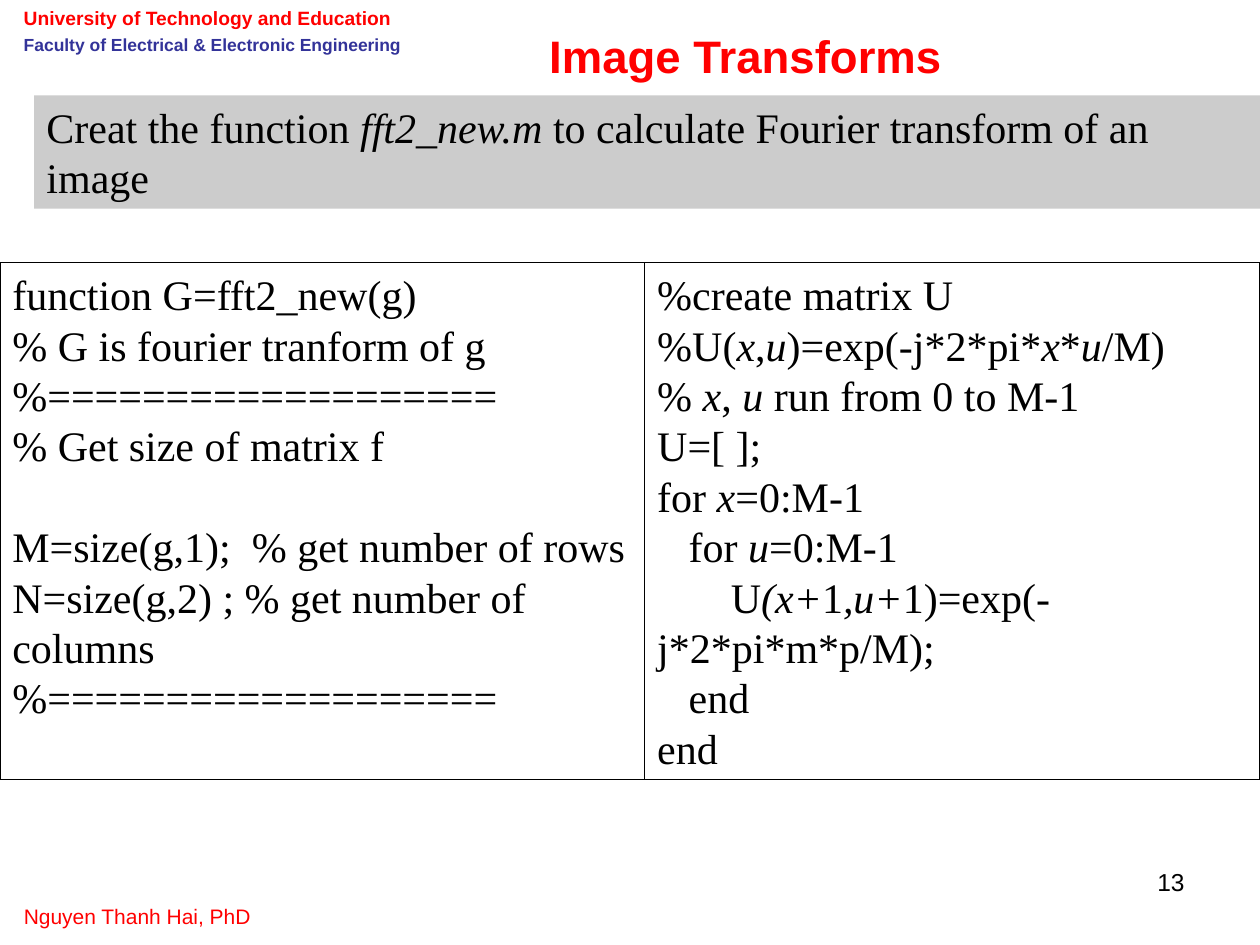
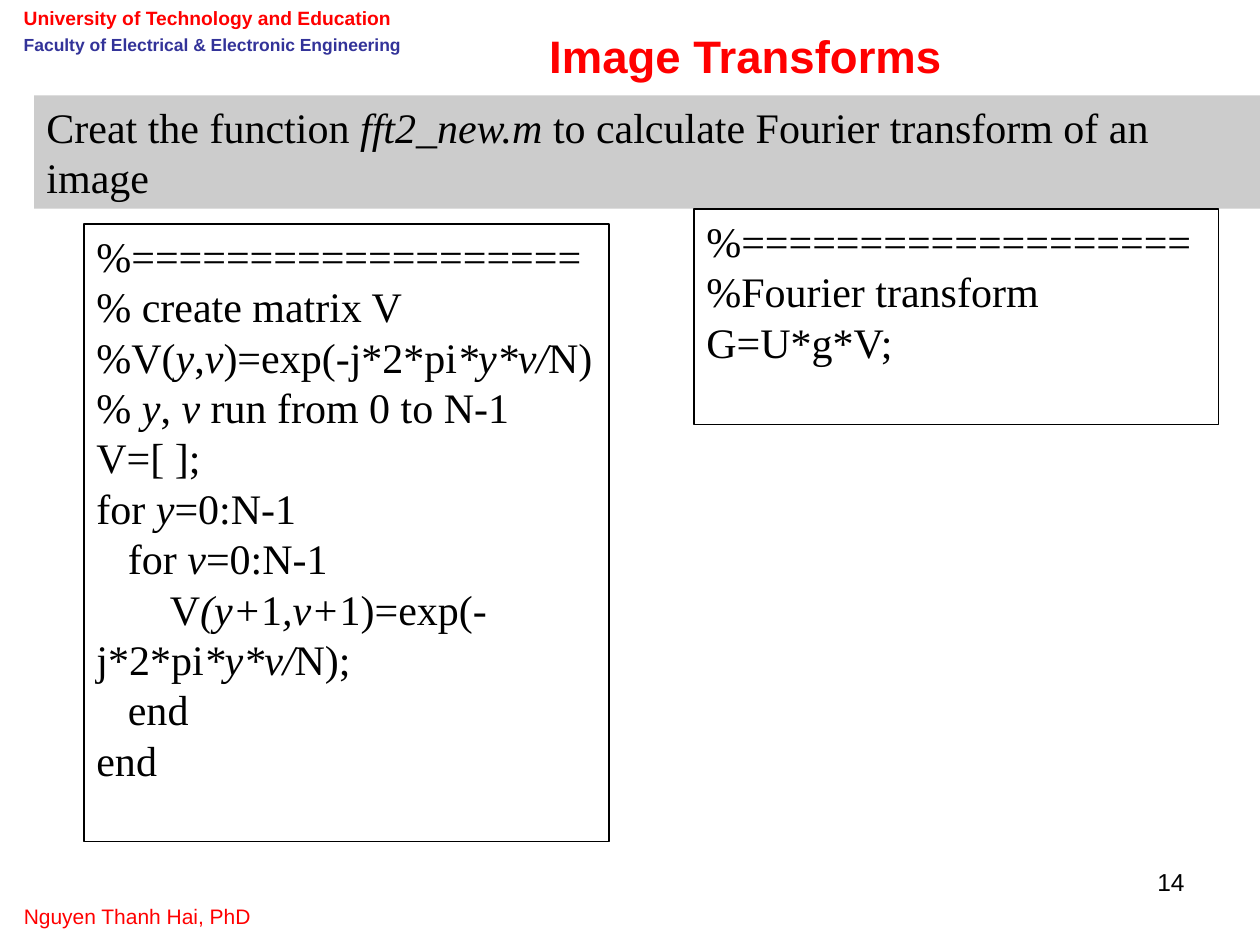
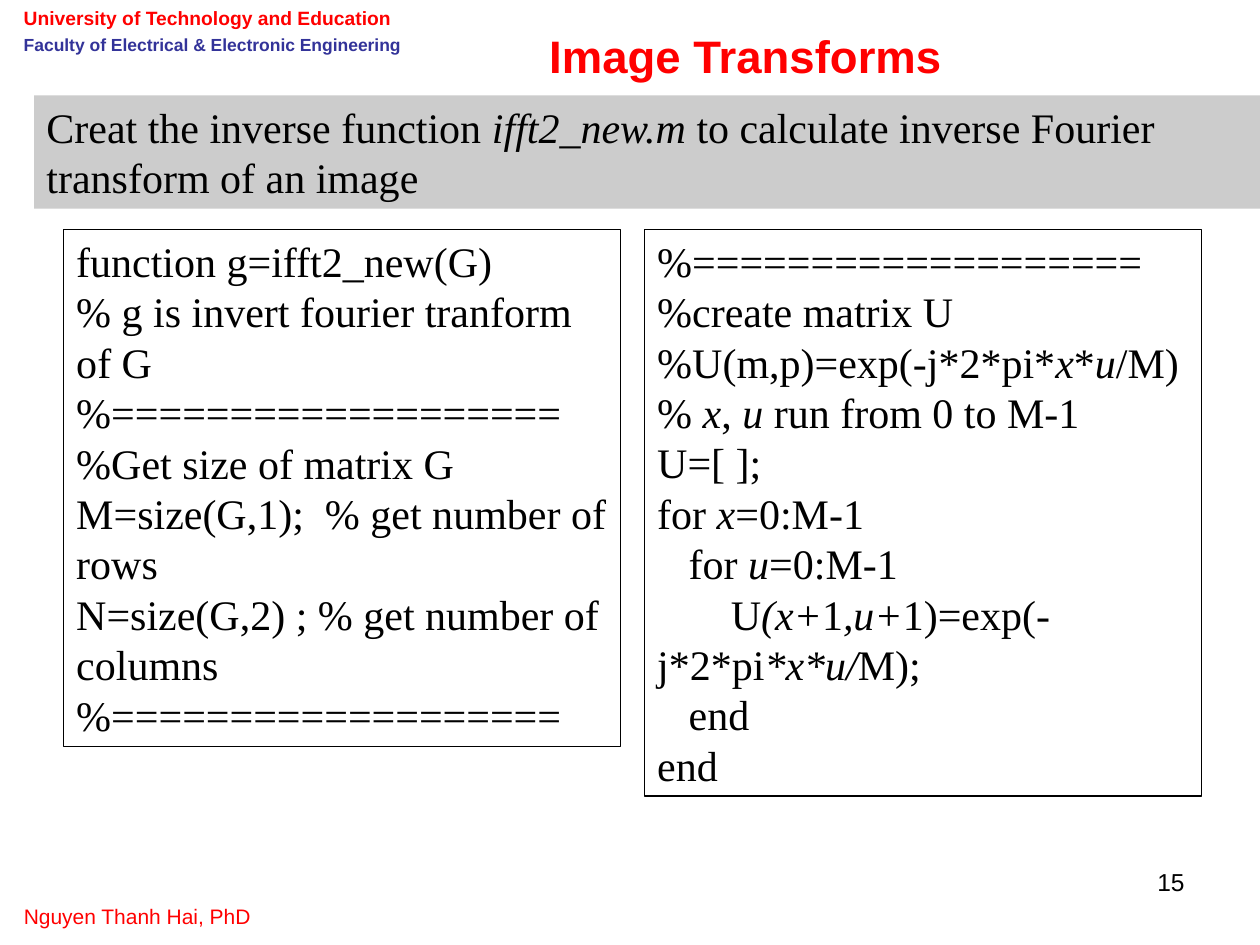
from dataclasses import dataclass

from pptx import Presentation
from pptx.dml.color import RGBColor
from pptx.enum.shapes import MSO_SHAPE
from pptx.enum.text import MSO_ANCHOR, PP_ALIGN
from pptx.util import Pt

RECT = MSO_SHAPE.RECTANGLE
TOP = MSO_ANCHOR.TOP
LEFT, MID, RIGHT = PP_ALIGN.LEFT, PP_ALIGN.CENTER, PP_ALIGN.RIGHT


@dataclass(frozen=True)
class Theme:
    """Colours, fonts and type sizes of the deck."""
    red: str = "FF0000"
    blue: str = "333399"
    black: str = "000000"
    gray: str = "CCCCCC"
    sans: str = "Arial"
    serif: str = "Times New Roman"
    title: float = 26
    code: float = 24
    pitch: float = 28.8
    page: float = 14
    foot: float = 12
    school: float = 11
    unit: float = 10


T = Theme()
RULE = "%" + "=" * 19


def write(para, text, size, color=T.black, font=T.sans, bold=False,
          align=LEFT, before=0, pitch=None, indent=0):
    """Fill a paragraph; bars in the text switch italics on and off."""
    para.alignment = align
    para.space_before = Pt(before)
    if pitch:
        para.line_spacing = pitch
    if indent:
        props = para._p.get_or_add_pPr()
        props.set("marL", "0")
        props.set("indent", str(Pt(indent)))
    for turn, part in enumerate(text.split("|")):
        if part:
            run = para.add_run()
            run.text = part
            face = run.font
            face.name, face.size = font, Pt(size)
            face.bold, face.italic = bold, turn % 2 == 1
            face.color.rgb = RGBColor.from_string(color)


def label(slide, box, text, size, **form):
    """Add a wrapped text box and return its frame."""
    frame = slide.shapes.add_textbox(*map(Pt, box)).text_frame
    frame.word_wrap = True
    write(frame.paragraphs[0], text, size, **form)
    return frame


def panel(slide, box, lines, fill=None, edge=None):
    """Add a rectangle of serif lines, each a text or a text with its format."""
    shape = slide.shapes.add_shape(RECT, *map(Pt, box))
    shape.shadow.inherit = False
    if fill:
        shape.fill.solid()
        shape.fill.fore_color.rgb = RGBColor.from_string(fill)
    else:
        shape.fill.background()
    if edge:
        shape.line.color.rgb = RGBColor.from_string(edge)
        shape.line.width = Pt(0.75)
    else:
        shape.line.fill.background()
    frame = shape.text_frame
    frame.word_wrap = True
    frame.vertical_anchor = TOP
    for row, line in enumerate(lines):
        text, form = (line, {}) if isinstance(line, str) else line
        para = frame.add_paragraph() if row else frame.paragraphs[0]
        write(para, text, T.code, font=T.serif, pitch=Pt(T.pitch), **form)


def code(slide, box, lines):
    """Add an outlined box of code."""
    panel(slide, box, lines, edge=T.black)


def loops(name, row, col, size, power):
    """Return the code lines that fill one matrix."""
    return [
        f"% |{row}|, |{col}| run from 0 to {size}-1",
        f"{name}=[ ];",
        f"for |{row}|=0:{size}-1",
        (f"for |{col}|=0:{size}-1", {"indent": 18}),
        (f"{name}|({row}+|1|,{col}+|1)=exp(-j*2*pi{power});", {"indent": 42}),
        ("end", {"indent": 18}),
        "end",
    ]


def start(deck, page, task):
    """Add a slide with its header, title, task band and footer."""
    slide = deck.slides.add_slide(deck.slide_layouts[6])
    label(slide, (516, 492, 168, 37.5), str(page), T.page, align=RIGHT)
    label(slide, (6.5, 512.5, 168, 21.6), "Nguyen Thanh Hai, PhD", T.foot,
          color=T.red)
    label(slide, (289.5, 12.5, 273, 38), "Image Transforms", T.title,
          color=T.red, bold=True, align=MID)
    panel(slide, (19.5, 54.5, 700.5, 64.8), [task], fill=T.gray)
    head = label(slide, (6.5, 0, 252, 35), "University of Technology and Education",
                 T.school, color=T.red, bold=True)
    write(head.add_paragraph(), "Faculty of Electrical & Electronic Engineering",
          T.unit, color=T.blue, bold=True, before=6, pitch=0.7)
    return slide


def main():
    """Build and save the deck."""
    deck = Presentation()
    deck.slide_width, deck.slide_height = Pt(720), Pt(540)
    task = "Creat the function |fft2_new.m| to calculate Fourier transform of an image"

    slide = start(deck, 13, task)
    code(slide, (0, 150, 368.5, 295.5), [
        "function G=fft2_new(g)",
        "% G is fourier tranform of g",
        RULE,
        "% Get size of matrix f",
        ("M=size(g,1);  % get number of rows", {"before": T.pitch}),
        "N=size(g,2) ; % get number of columns",
        RULE,
    ])
    code(slide, (368.5, 150, 351.5, 295.5), [
        "%create matrix U",
        "%U(|x|,|u|)=exp(-j*2*pi*|x|*|u|/M)",
        *loops("U", "x", "u", "M", "*m*p/M"),
    ])

    slide = start(deck, 14, task)
    code(slide, (48, 128, 300, 353), [
        RULE,
        "% create matrix V",
        "%V(|y|,|v|)=exp(-j*2*pi|*y*v/|N)",
        *loops("V", "y", "v", "N", "|*y*v/|N"),
    ])
    code(slide, (396.5, 119.5, 300, 123), [RULE, "%Fourier transform", "G=U*g*V;"])

    slide = start(deck, 15, "Creat the inverse function |ifft2_new.m| to calculate "
                            "inverse Fourier transform of an image")
    code(slide, (36.5, 131, 318, 295.5), [
        "function g=ifft2_new(G)",
        "% g is invert fourier tranform of G",
        RULE,
        "%Get size of matrix G",
        "M=size(G,1);  % get number of rows",
        "N=size(G,2) ; % get number of columns",
        RULE,
    ])
    code(slide, (368.5, 131, 318, 324), [
        RULE,
        "%create matrix U",
        "%U(m,p)=exp(-j*2*pi*|x|*|u|/M)",
        *loops("U", "x", "u", "M", "|*x*u/|M"),
    ])
    deck.save("out.pptx")


if __name__ == "__main__":
    main()
